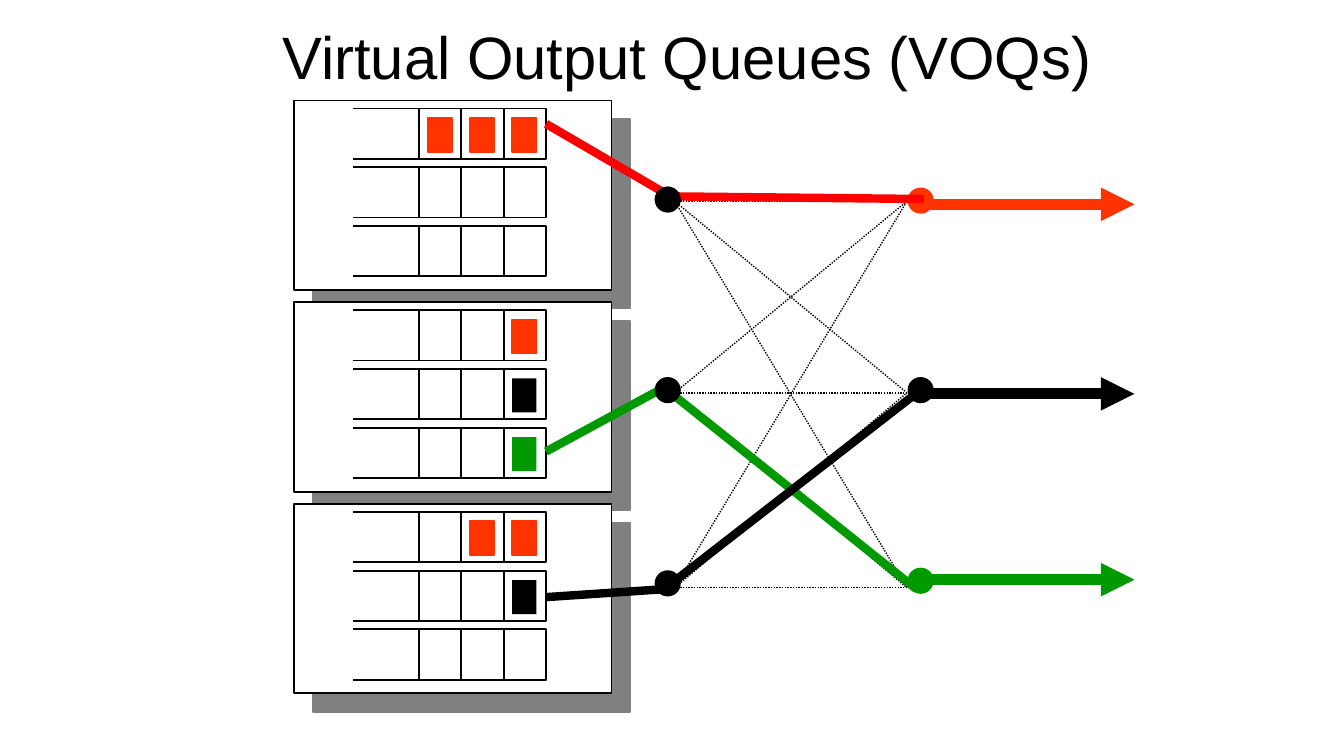
from dataclasses import dataclass

from lxml import etree
from pptx import Presentation
from pptx.dml.color import RGBColor
from pptx.enum.dml import MSO_LINE
from pptx.enum.shapes import MSO_CONNECTOR, MSO_SHAPE
from pptx.enum.text import MSO_ANCHOR, PP_ALIGN
from pptx.oxml.ns import qn
from pptx.util import Cm, Pt

RECT, OVAL = MSO_SHAPE.RECTANGLE, MSO_SHAPE.OVAL
STRAIGHT, DOTTED = MSO_CONNECTOR.STRAIGHT, MSO_LINE.ROUND_DOT
MIDDLE, CENTER = MSO_ANCHOR.MIDDLE, PP_ALIGN.CENTER


@dataclass(frozen=True)
class Theme:
    font: str = "Arial"
    title: float = 32
    ink: str = "000000"
    paper: str = "FFFFFF"
    shade: str = "808080"
    orange: str = "FF3300"
    red: str = "FF0000"
    green: str = "009900"
    hair: float = 0.75
    thin: float = 1
    route: float = 4.5
    arrow: float = 6


T = Theme()

# Content; lengths in cm
TITLE = "Virtual Output Queues (VOQs)"
FLOWS = [T.orange, T.ink, T.green]      # one colour per output
CARDS = [(3, 0, 0), (1, 1, 1), (2, 1, 0)]  # packets in each queue
ROUTES = [
    (T.red, [(10.32, 2.34), (12.67, 3.71), (17.46, 3.76)]),
    (T.green, [(10.32, 8.53), (12.55, 7.32), (17.32, 11.13)]),
    (T.ink, [(10.32, 11.28), (12.55, 11.13), (17.46, 7.32)]),
]

# Layout
CARD_X, CARD_Y, CARD_W, CARD_H, CARD_STEP = 5.56, 1.9, 6, 3.58, 3.81
DROP = 0.35
ROW_X, ROW_END, ROW_TOP, ROW_H, ROW_STEP = 6.67, 10.32, 0.15, 0.95, 1.11
SLOTS, SLOT_W = 3, 0.8
PACK_W, PACK_H, PACK_X, PACK_Y = 0.46, 0.64, 0.16, 0.18
DOT, IN_X, OUT_X = 0.46, 12.62, 17.4
IN_Y = [3.77, 7.37, 11.02]
OUT_Y = [3.79, 7.37, 10.97]
MESH_X, MESH_END, MESH_Y = 12.75, 17.14, [3.8, 7.42, 11.1]
ARROW_X, ARROW_END, ARROW_Y = 17.48, 21.44, [3.86, 7.44, 10.95]


def rgb(color):
    return RGBColor.from_string(color)


def pen(line, color, width):
    line.color.rgb = rgb(color)
    line.width = Pt(width)


def block(shapes, kind, x, y, w, h, fill, edge=None):
    item = shapes.add_shape(kind, Cm(x), Cm(y), Cm(w), Cm(h))
    item.shadow.inherit = False
    item.fill.solid()
    item.fill.fore_color.rgb = rgb(fill)
    if edge:
        pen(item.line, edge, T.thin)
    else:
        item.line.fill.background()


def dot(shapes, x, y, color):
    block(shapes, OVAL, x - DOT / 2, y - DOT / 2, DOT, DOT, color, color)


def link(shapes, x1, y1, x2, y2, color, width):
    item = shapes.add_connector(STRAIGHT, Cm(x1), Cm(y1), Cm(x2), Cm(y2))
    pen(item.line, color, width)
    etree.SubElement(item._element.spPr, qn("a:effectLst"))
    return item


def trace(shapes, points, color, width):
    """Draw an open, unfilled outline through the points."""
    ends = [(Cm(x), Cm(y)) for x, y in points]
    pad = shapes.build_freeform(*ends[0])
    pad.add_line_segments(ends[1:], close=False)
    item = pad.convert_to_shape()
    item.shadow.inherit = False
    item.fill.background()
    pen(item.line, color, width)


def row_top(card, row):
    return CARD_Y + card * CARD_STEP + ROW_TOP + row * ROW_STEP


def slot_left(slot):
    """Left edge of a slot, counted from the head of the queue."""
    return ROW_END - (slot + 1) * SLOT_W


def add_title(slide):
    title = slide.shapes.title
    title.left, title.top = Cm(4.39), Cm(-0.15)
    title.width, title.height = Cm(17.2), Cm(2.39)
    frame = title.text_frame
    frame.text = TITLE
    frame.vertical_anchor = MIDDLE
    frame.word_wrap = True
    para = frame.paragraphs[0]
    para.alignment = CENTER
    font = para.runs[0].font
    font.name, font.size = T.font, Pt(T.title)
    font.color.rgb = rgb(T.ink)


def add_mesh(shapes):
    group = shapes.add_group_shape().shapes
    for start in MESH_Y:
        for end in MESH_Y:
            item = link(group, MESH_X, start, MESH_END, end, T.ink, T.hair)
            item.line.dash_style = DOTTED


def add_outputs(shapes):
    for y, color in zip(ARROW_Y, FLOWS):
        item = link(shapes, ARROW_X, y, ARROW_END, y, color, T.arrow)
        etree.SubElement(item.line._get_or_add_ln(), qn("a:tailEnd"),
                         type="triangle")
    for y, color in zip(OUT_Y, FLOWS):
        dot(shapes, OUT_X, y, color)


def add_card(shapes, card):
    group = shapes.add_group_shape().shapes
    top = CARD_Y + card * CARD_STEP
    block(group, RECT, CARD_X + DROP, top + DROP, CARD_W, CARD_H,
          T.shade, T.shade)
    block(group, RECT, CARD_X, top, CARD_W, CARD_H, T.paper, T.ink)
    for row in range(len(FLOWS)):
        y = row_top(card, row)
        end = y + ROW_H
        trace(group, [(ROW_X, y), (ROW_END, y), (ROW_END, end),
                      (ROW_X, end)], T.ink, T.thin)
        for slot in range(SLOTS):
            x = slot_left(slot)
            link(group, x, y, x, end, T.ink, T.thin)


def add_packets(shapes):
    for card, counts in enumerate(CARDS):
        for row, count in enumerate(counts):
            color = FLOWS[row]
            edge = color if color == T.orange else None
            for slot in range(count):
                block(shapes, RECT, slot_left(slot) + PACK_X,
                      row_top(card, row) + PACK_Y, PACK_W, PACK_H,
                      color, edge)


def main():
    deck = Presentation()
    deck.slide_width, deck.slide_height = Cm(25.4), Cm(14.28)
    slide = deck.slides.add_slide(deck.slide_layouts[5])
    shapes = slide.shapes
    add_mesh(shapes)
    add_title(slide)
    add_outputs(shapes)
    for card in range(len(CARDS)):
        add_card(shapes, card)
    paths = shapes.add_group_shape().shapes
    for color, points in ROUTES:
        trace(paths, points, color, T.route)
    for y in IN_Y:
        dot(shapes, IN_X, y, T.ink)
    add_packets(shapes)
    deck.save("out.pptx")


if __name__ == "__main__":
    main()
